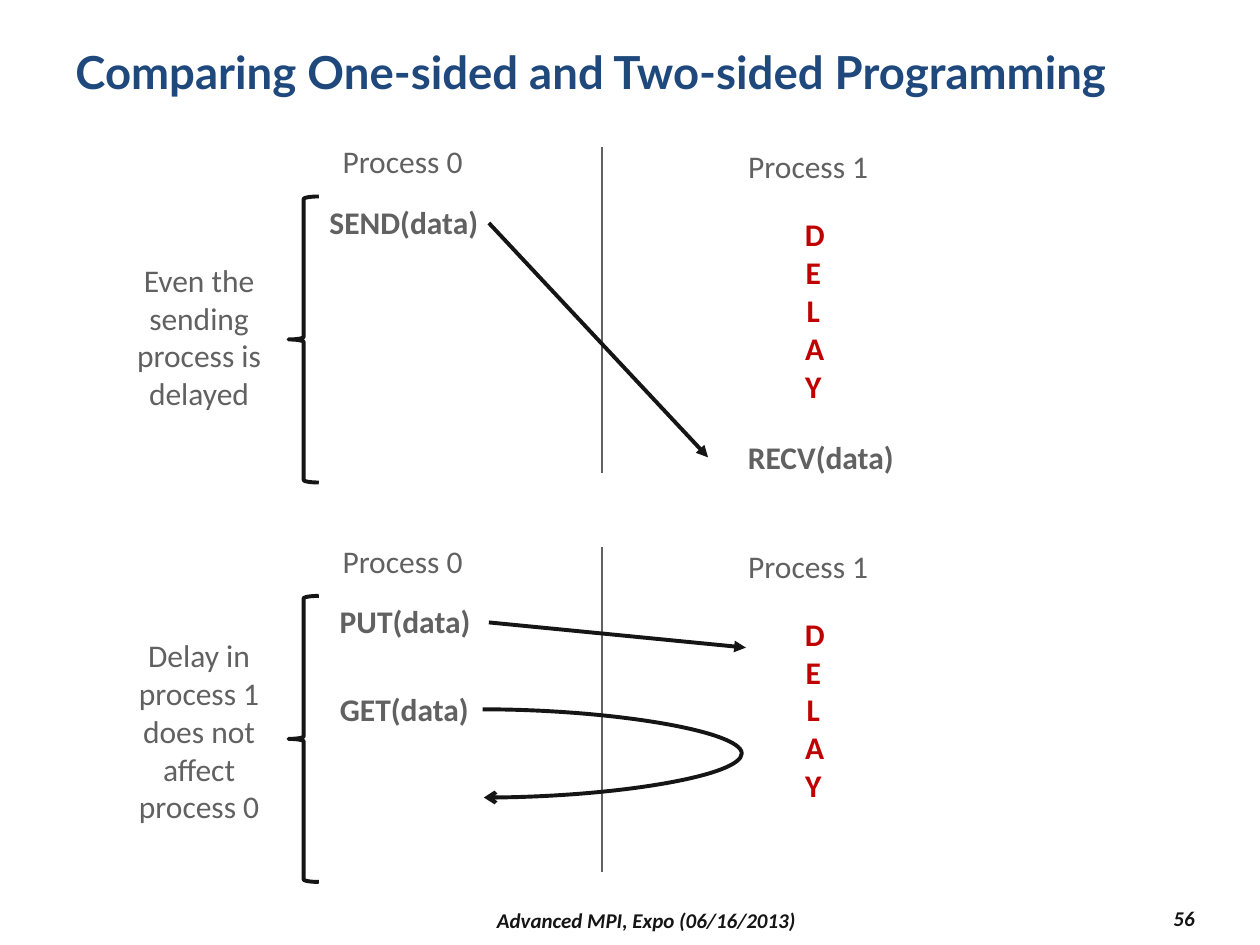
import pptx
import pptx.util
import pptx.dml.color
import pptx.enum.shapes
import pptx.enum.text
import pptx.oxml
import pptx.oxml.ns

Inches = pptx.util.Inches
Color = pptx.dml.color.RGBColor
Align = pptx.enum.text.PP_ALIGN
Anchor = pptx.enum.text.MSO_ANCHOR
Link = pptx.enum.shapes.MSO_CONNECTOR

NAVY = Color(0x1F, 0x49, 0x7D)
GRAY = Color(0x61, 0x61, 0x61)
RED = Color(0xC0, 0x00, 0x00)
BLACK = Color(0x15, 0x15, 0x15)

TITLE = "Comparing One-sided and Two-sided Programming"
FOOTER = "Advanced MPI, Expo (06/16/2013)"
NUMBER = "56"
HEADS = [("Process 0", 2.62, 0, 1.25), ("Process 1", 5.84, 0.04, 1.44)]
PANELS = [
    {"note": ("Even the sending process is delayed", 0.94, 1.31),
     "calls": [("SEND(data)", 2.51, 0.48, 1.39),
               ("RECV(data)", 5.83, 2.35, 1.37)],
     "arrow": (5.62, 2.55)},
    {"note": ("Delay in process 1 does not affect process 0", 0.75, 1.62),
     "calls": [("PUT(data)", 2.59, 0.48, 1.25),
               ("GET(data)", 2.59, 1.18, 1.24)],
     "arrow": (5.92, 0.89)},
]
TOP, STEP = 1.08, 3.17
LINE = 0.4

deck = pptx.Presentation()
deck.slide_width, deck.slide_height = Inches(10), Inches(7.5)
slide = deck.slides.add_slide(deck.slide_layouts[6])


def write(text, left, top, width, height, color=GRAY, size=18, bold=False,
          italic=False, align=Align.CENTER, wrap=True, font="Calibri",
          anchor=Anchor.TOP):
    box = slide.shapes.add_textbox(*map(Inches, (left, top, width, height)))
    frame = box.text_frame
    frame.word_wrap = wrap
    frame.vertical_anchor = anchor
    par = frame.paragraphs[0]
    par.alignment = align
    run = par.add_run()
    run.text = text
    run.font.name = font
    run.font.size = pptx.util.Pt(size)
    run.font.bold, run.font.italic = bold, italic
    run.font.color.rgb = color


def draw(start, end, color=BLACK, weight=2.25, tip=None, kind=Link.STRAIGHT):
    link = slide.shapes.add_connector(kind, *map(Inches, start + end))
    link.line.color.rgb = color
    link.line.width = pptx.util.Pt(weight)
    props = link._element.spPr
    if tip:
        tail = pptx.oxml.parse_xml(
            f'<a:tailEnd {pptx.oxml.ns.nsdecls("a")} type="{tip}"/>')
        link.line._get_or_add_ln().append(tail)
    props.append(pptx.oxml.parse_xml(
        f'<a:effectLst {pptx.oxml.ns.nsdecls("a")}/>'))
    return link


def brace(left, top, width, height):
    shape = slide.shapes.add_shape(
        pptx.enum.shapes.MSO_SHAPE.LEFT_BRACE,
        *map(Inches, (left, top, width, height)))
    shape.shadow.inherit = False
    shape.fill.background()
    shape.line.color.rgb = BLACK
    shape.line.width = pptx.util.Pt(2.25)


def loop(left, top, reach, height):
    width = 0.01
    link = draw((left, top), (left + width, top + height),
                tip="arrow", kind=Link.CURVE)
    bend = round((reach - left) / width * 100000)
    geom = link._element.spPr.find(pptx.oxml.ns.qn("a:prstGeom"))
    guides = geom.get_or_add_avLst()
    guides.append(pptx.oxml.parse_xml(
        f'<a:gd {pptx.oxml.ns.nsdecls("a")} name="adj1" fmla="val {bend}"/>'))


write(TITLE, 0.5, 0.3, 9, 0.87, NAVY, 26, True, align=Align.LEFT, font="Lato")
for row, panel in enumerate(PANELS):
    top = TOP + row * STEP
    for text, left, down, width in HEADS:
        write(text, left, top + down, width, LINE, align=Align.LEFT)
    draw((4.78, top + 0.09), (4.78, top + 2.67), GRAY, 1)
    for text, left, down, width in panel["calls"]:
        write(text, left, top + down, width, LINE, bold=True, wrap=False)
    end, down = panel["arrow"]
    draw((3.88, top + 0.69), (end, top + down), tip="triangle")
    write("DELAY", 6.29, top + 0.58, 0.33, 1.62, RED, bold=True)
    brace(2.29, top + 0.48, 0.24, 2.27)
    text, down, height = panel["note"]
    write(text, 0.87, top + down, 1.42, height)
loop(3.83, 5.63, 5.92, 0.7)

for text, left, top, width, align in (
        (NUMBER, 8.5, 7.15, 1.08, Align.RIGHT),
        (FOOTER, 2.17, 7.17, 5.92, Align.CENTER)):
    write(text, left, top, width, 0.27, BLACK, 12, True, True, align,
          anchor=Anchor.MIDDLE)

deck.save("out.pptx")
